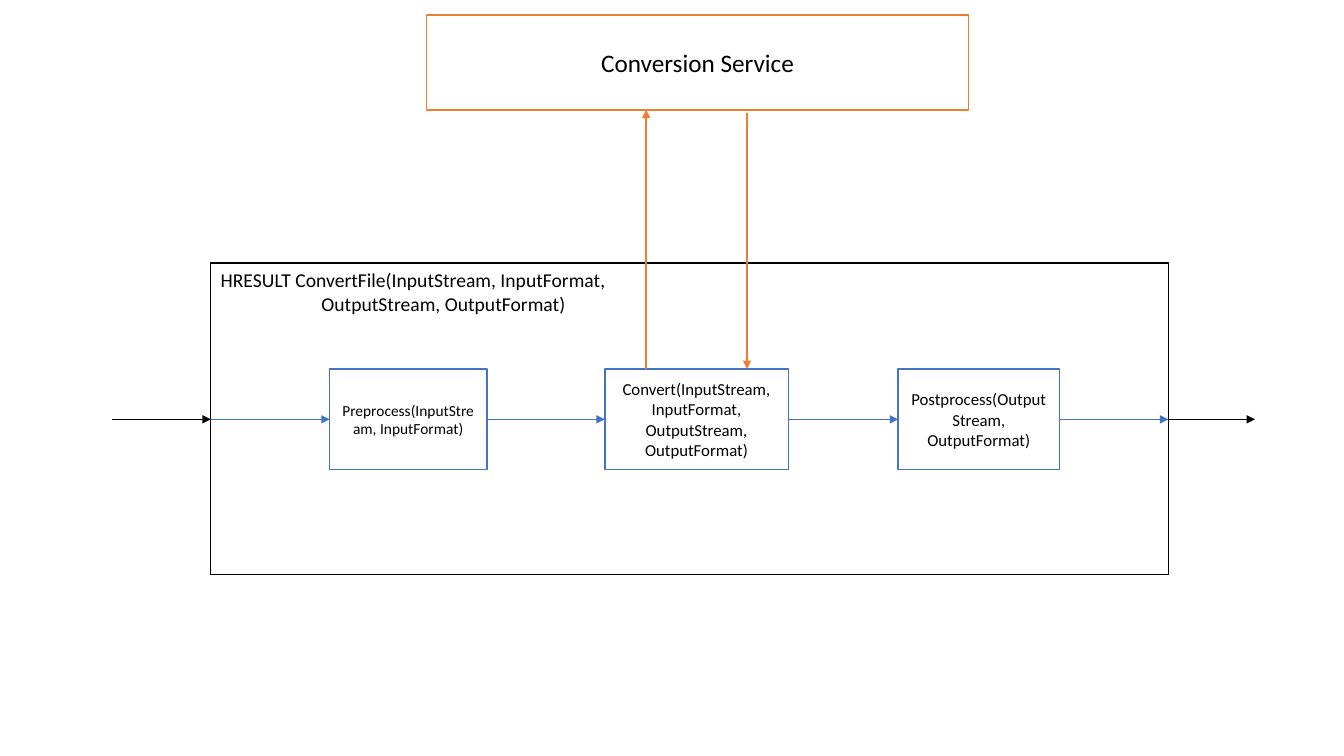
import dataclasses
import itertools

import lxml.etree
import pptx
import pptx.dml.color
import pptx.enum.shapes
import pptx.enum.text
import pptx.oxml.ns
import pptx.slide
import pptx.text.text
import pptx.util

Colour = pptx.dml.color.RGBColor


@dataclasses.dataclass(frozen=True)
class Theme:
    font: str = "Calibri"
    paper: Colour = Colour(255, 255, 255)
    ink: Colour = Colour(0, 0, 0)
    step: Colour = Colour(0x44, 0x72, 0xC4)
    service: Colour = Colour(0xED, 0x7D, 0x31)
    stroke: float = 1
    small: int = 11
    body: int = 12
    label: int = 14
    heading: int = 18


@dataclasses.dataclass(frozen=True)
class Box:
    left: float
    top: float
    right: float
    bottom: float
    colour: Colour
    text: str = ""
    size: int = 12


@dataclasses.dataclass(frozen=True)
class Arrow:
    start: tuple[float, float]
    end: tuple[float, float]
    colour: Colour


THEME = Theme()
WIDTH = pptx.util.Inches(13.333)
HEIGHT = pptx.util.Inches(7.5)

STEP_TOP, FLOW, STEP_BOTTOM = 48.8, 55.47, 62.13
FRAME = Box(15.68, 34.8, 86.93, 76, THEME.ink)
SERVICE = Box(31.73, 2, 72.08, 14.53, THEME.service, "Conversion Service", THEME.heading)
STEPS = [
    Box(left, STEP_TOP, right, STEP_BOTTOM, THEME.step, text, size)
    for left, right, text, size in (
        (24.53, 36.23, "Preprocess(InputStream, InputFormat)", THEME.small),
        (45, 58.65, "Convert(InputStream, InputFormat, OutputStream, OutputFormat)", THEME.body),
        (66.83, 78.83, "Postprocess(OutputStream, OutputFormat)", THEME.body),
    )
]
SIGNATURE = "HRESULT ConvertFile(InputStream, InputFormat,\n\tOutputStream, OutputFormat)"
FLOW_START, FLOW_END = 8.33, 93.38
REQUEST, RESPONSE = 48.08, 55.58


def across(share: float) -> int:
    return round(WIDTH * share / 100)


def down(share: float) -> int:
    return round(HEIGHT * share / 100)


def format_text(frame: pptx.text.text.TextFrame, size: int, alignment: pptx.enum.text.PP_ALIGN) -> None:
    for para in frame.paragraphs:
        para.alignment = alignment
        for span in para.runs:
            span.font.name = THEME.font
            span.font.size = pptx.util.Pt(size)
            span.font.color.rgb = THEME.ink


def draw_box(page: pptx.slide.Slide, box: Box) -> None:
    shape = page.shapes.add_shape(
        pptx.enum.shapes.MSO_SHAPE.RECTANGLE,
        across(box.left), down(box.top),
        across(box.right - box.left), down(box.bottom - box.top),
    )
    shape.shadow.inherit = False
    shape.fill.solid()
    shape.fill.fore_color.rgb = THEME.paper
    shape.line.color.rgb = box.colour
    shape.line.width = pptx.util.Pt(THEME.stroke)
    if box.text:
        frame = shape.text_frame
        frame.text = box.text
        frame.word_wrap = True
        frame.vertical_anchor = pptx.enum.text.MSO_ANCHOR.MIDDLE
        format_text(frame, box.size, pptx.enum.text.PP_ALIGN.CENTER)


def draw_arrow(page: pptx.slide.Slide, arrow: Arrow) -> None:
    connector = page.shapes.add_connector(
        pptx.enum.shapes.MSO_CONNECTOR.STRAIGHT,
        across(arrow.start[0]), down(arrow.start[1]),
        across(arrow.end[0]), down(arrow.end[1]),
    )
    connector.line.color.rgb = arrow.colour
    connector.line.width = pptx.util.Pt(THEME.stroke)
    qualified = pptx.oxml.ns.qn
    properties = connector.element.spPr
    lxml.etree.SubElement(properties.find(qualified("a:ln")), qualified("a:tailEnd"), type="triangle")
    lxml.etree.SubElement(properties, qualified("a:effectLst"))


def draw_signature(page: pptx.slide.Slide) -> None:
    label = page.shapes.add_textbox(across(FRAME.left), down(FRAME.top), across(30.45), down(7.6))
    frame = label.text_frame
    frame.text = SIGNATURE
    frame.word_wrap = False
    frame.auto_size = pptx.enum.text.MSO_AUTO_SIZE.SHAPE_TO_FIT_TEXT
    format_text(frame, THEME.label, pptx.enum.text.PP_ALIGN.LEFT)
    for para in frame.paragraphs:
        para._p.get_or_add_pPr().set("defTabSz", str(pptx.util.Inches(1)))


def flow_arrows() -> list[Arrow]:
    exits = [FLOW_START, FRAME.left, *(step.right for step in STEPS), FRAME.right]
    entries = [FRAME.left, *(step.left for step in STEPS), FRAME.right, FLOW_END]
    outer = (0, len(exits) - 1)
    return [
        Arrow((start, FLOW), (end, FLOW), THEME.ink if index in outer else THEME.step)
        for index, (start, end) in enumerate(zip(exits, entries))
    ]


def main() -> None:
    deck = pptx.Presentation()
    deck.slide_width, deck.slide_height = WIDTH, HEIGHT
    page = deck.slides.add_slide(deck.slide_layouts.get_by_name("Blank"))
    service_arrows = [
        Arrow((REQUEST, STEP_TOP), (REQUEST, SERVICE.bottom), THEME.service),
        Arrow((RESPONSE, 14.93), (RESPONSE, STEP_TOP), THEME.service),
    ]
    for box in (FRAME, *STEPS, SERVICE):
        draw_box(page, box)
    for arrow in itertools.chain(flow_arrows(), service_arrows):
        draw_arrow(page, arrow)
    draw_signature(page)
    deck.save("out.pptx")


if __name__ == "__main__":
    main()
